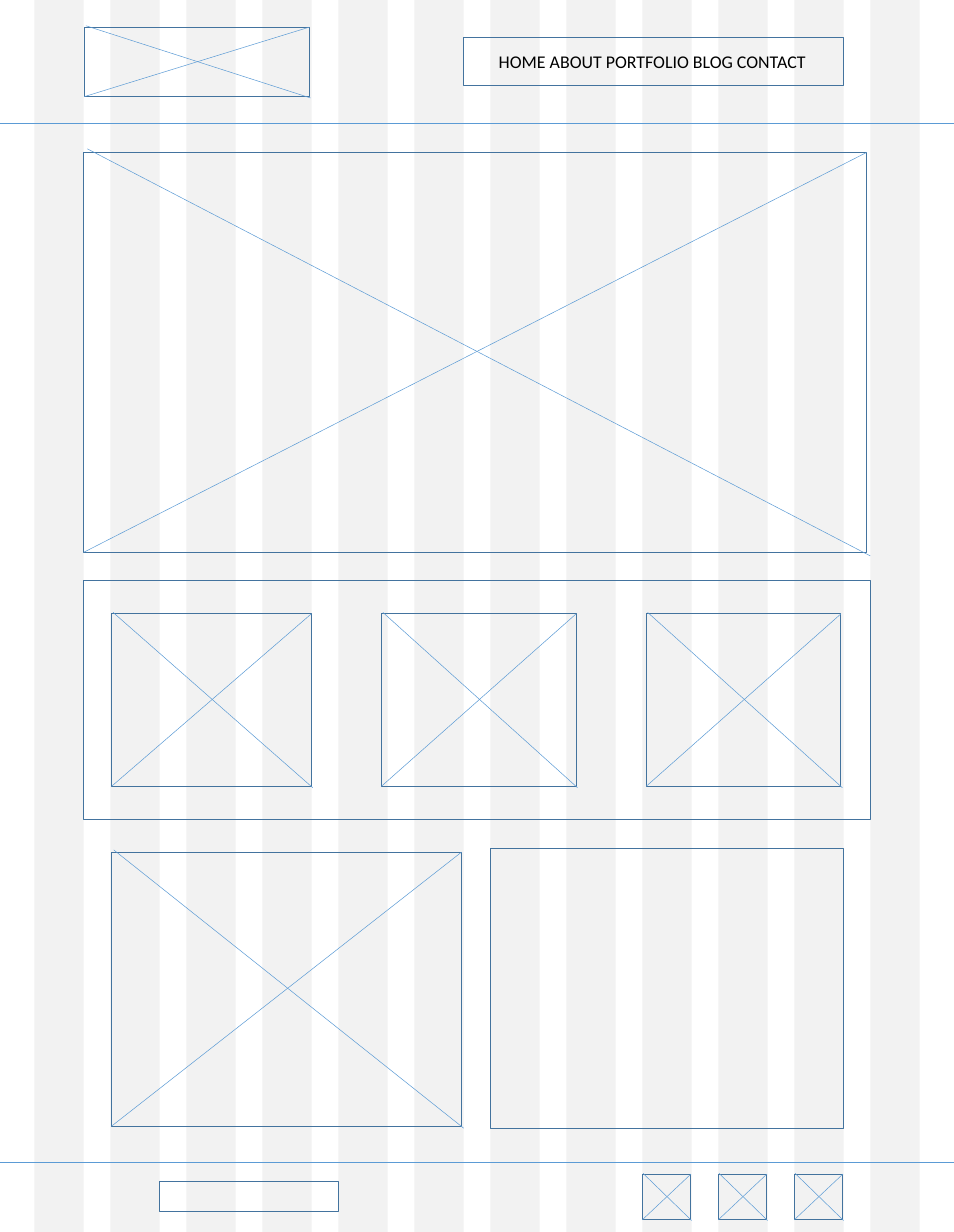
from lxml.etree import SubElement
from pptx import Presentation
from pptx.dml.color import RGBColor
from pptx.enum.shapes import MSO_CONNECTOR, MSO_SHAPE
from pptx.enum.text import MSO_AUTO_SIZE, PP_ALIGN
from pptx.oxml.ns import qn
from pptx.util import Inches, Pt

WIDE, HIGH = 13.33, 17.22
COLS, START, BAR = 12, 0.48, 0.69
PITCH = (12.16 - START) / (COLS - 1)
COLORS = {"page": "FFFFFF", "bar": "F2F2F2", "edge": "43739E",
          "line": "5B9BD5", "text": "000000"}


def tint(name):
    return RGBColor.from_string(COLORS[name])


def left(col):
    return START + col * PITCH


def right(col):
    return left(col) + BAR


def box(shapes, x, y, w, h, fill=None):
    rect = shapes.add_shape(MSO_SHAPE.RECTANGLE, Inches(x), Inches(y),
                            Inches(w), Inches(h))
    rect.shadow.inherit = False
    if fill:
        rect.fill.solid()
        rect.fill.fore_color.rgb = tint(fill)
        rect.line.fill.background()
    else:
        rect.fill.background()
        rect.line.color.rgb = tint("edge")
        rect.line.width = Pt(1)


def line(shapes, x1, y1, x2, y2):
    link = shapes.add_connector(MSO_CONNECTOR.STRAIGHT, Inches(x1), Inches(y1),
                                Inches(x2), Inches(y2))
    link.line.color.rgb = tint("line")
    link.line.width = Pt(0.5)
    SubElement(link._element.spPr, qn("a:effectLst"))


def frame(slide, x, y, w, h, slip):
    shapes = slide.shapes.add_group_shape().shapes
    box(shapes, x, y, w, h)
    line(shapes, x + slip, y - slip, x + w + slip, y + h + slip)
    line(shapes, x + w, y, x, y + h)


def bars(slide):
    shapes = slide.shapes.add_group_shape().shapes
    for col in range(COLS):
        box(shapes, left(col), 0, BAR, HIGH, "bar")


def menu(slide, x, y, w, h, words):
    area = slide.shapes.add_textbox(Inches(x), Inches(y), Inches(w), Inches(h))
    text = area.text_frame
    text.word_wrap = False
    text.auto_size = MSO_AUTO_SIZE.SHAPE_TO_FIT_TEXT
    para = text.paragraphs[0]
    para.alignment = PP_ALIGN.LEFT
    run = para.add_run()
    run.text = words
    run.font.name = "Calibri"
    run.font.size = Pt(18)
    run.font.color.rgb = tint("text")


def head(slide):
    frame(slide, 1.18, 0.38, 3.14, 0.97, 0.02)
    box(slide.shapes, right(5), 0.53, right(10) - right(5), 0.66)
    menu(slide, 6.87, 0.66, 4.53, 0.4, "HOME ABOUT PORTFOLIO BLOG CONTACT")


def body(slide):
    frame(slide, right(0), 2.13, 10.94, 5.59, 0.05)
    box(slide.shapes, right(0), 8.12, left(11) - right(0), 3.34)
    for x, w in ((1.56, 2.79), (5.33, 2.72), (9.03, 2.72)):
        frame(slide, x, 8.58, w, 2.41, 0.02)
    frame(slide, 1.56, 11.91, 4.89, 3.83, 0.03)
    box(slide.shapes, left(6), 11.86, right(10) - left(6), 3.92)


def foot(slide):
    box(slide.shapes, right(1), 16.52, 2.5, 0.42)
    for col in (8, 9, 10):
        frame(slide, left(col), 16.41, 0.68, 0.64, 0.01)


def main():
    deck = Presentation()
    deck.slide_width, deck.slide_height = Inches(WIDE), Inches(HIGH)
    slide = deck.slides.add_slide(deck.slide_layouts[6])
    slide.background.fill.solid()
    slide.background.fill.fore_color.rgb = tint("page")
    bars(slide)
    for y in (1.72, 16.24):
        line(slide.shapes, 0, y, WIDE, y)
    head(slide)
    body(slide)
    foot(slide)
    deck.save("out.pptx")


if __name__ == "__main__":
    main()
